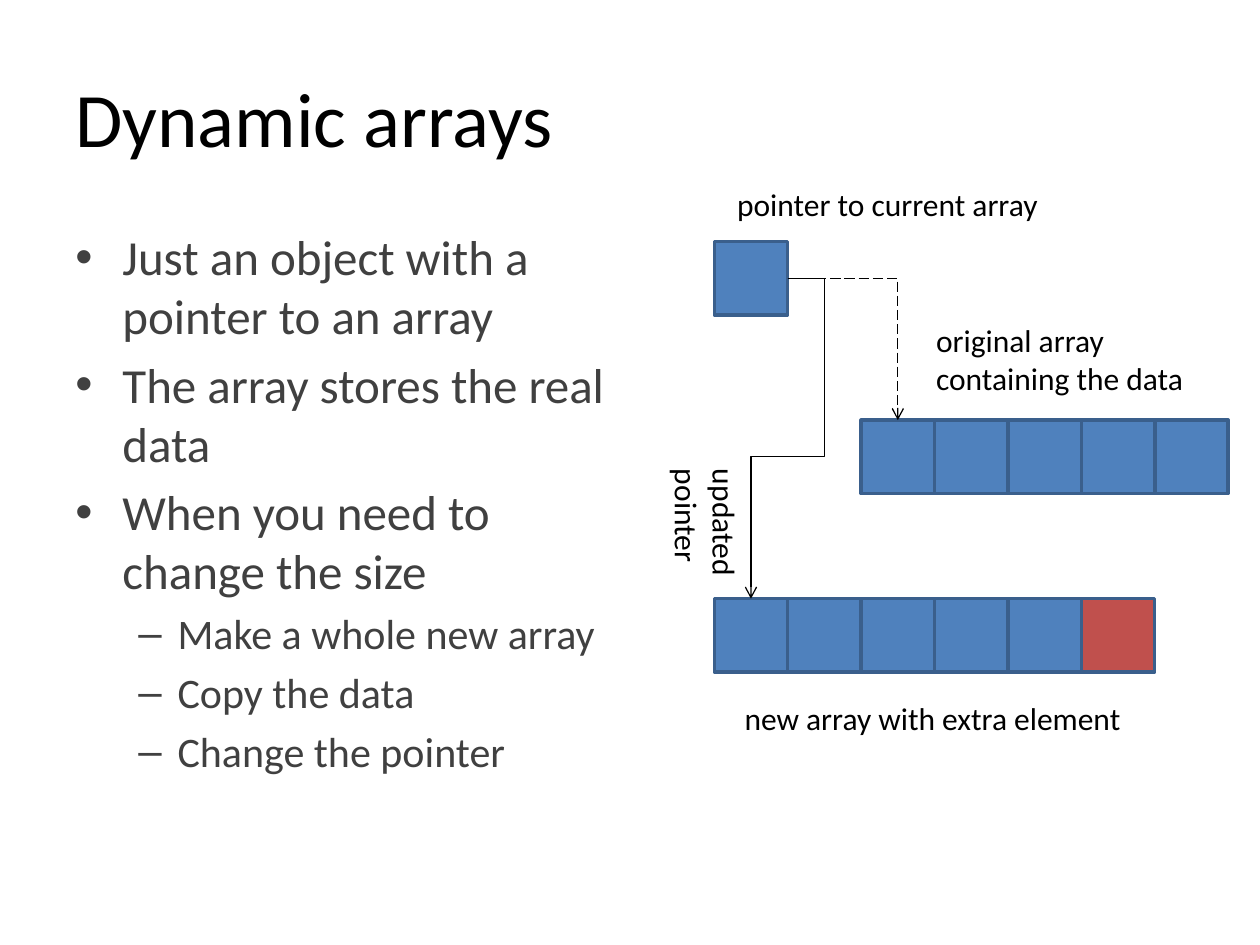
from dataclasses import dataclass

from lxml.etree import SubElement as Sub
from pptx import Presentation
from pptx.dml.color import RGBColor as Rgb
from pptx.enum.dml import MSO_LINE as Dash
from pptx.enum.shapes import MSO_CONNECTOR as Link, MSO_SHAPE as Kind
from pptx.enum.text import MSO_ANCHOR as Anchor, MSO_AUTO_SIZE as Fit
from pptx.oxml.ns import qn
from pptx.util import Cm, Pt


@dataclass(frozen=True)
class Theme:
    """Hold the colours, font, type sizes and line widths."""
    font: str = "Calibri"
    ink: Rgb = Rgb(0, 0, 0)
    grey: Rgb = Rgb(0x40, 0x40, 0x40)
    blue: Rgb = Rgb(0x4F, 0x81, 0xBD)
    edge: Rgb = Rgb(0x3A, 0x5F, 0x8C)
    red: Rgb = Rgb(0xC0, 0x50, 0x4D)
    title: int = 44
    body: tuple = (28, 24)
    label: int = 18
    border: float = 2
    wire: float = 0.75


THEME = Theme()
CELL = 1.48
LEFT = 14.4
LEVELS = (("•", 0.95, 0.95), ("–", 2.06, 0.79))
POINTS = (
    (0, "Just an object with a pointer to an array"),
    (0, "The array stores the real data"),
    (0, "When you need to change the size"),
    (1, "Make a whole new array"),
    (1, "Copy the data"),
    (1, "Change the pointer"),
)
LABELS = (
    (("original array", "containing the data"), (18.62, 6.35, 5.56, 1.8), 0),
    (("pointer to current array",), (14.61, 3.6, 6.65, 1.02), 0),
    (("new array with extra element",), (14.76, 13.97, 8.18, 1.02), 0),
    (("updated", "pointer"), (12.88, 9.65, 2.69, 1.8), 90),
)


def add_run(para, text, size, color):
    """Add one styled run to a paragraph."""
    run = para.add_run()
    run.text = text
    font = run.font
    font.name, font.size = THEME.font, Pt(size)
    font.color.rgb = color


def add_box(slide, area, wrap=True):
    """Add an empty text box."""
    box = slide.shapes.add_textbox(*map(Cm, area))
    box.text_frame.word_wrap = wrap
    return box


def add_para(frame, index):
    """Return the first paragraph or a new one."""
    return frame.add_paragraph() if index else frame.paragraphs[0]


def add_title(slide, text):
    """Add the slide heading."""
    frame = add_box(slide, (1.27, 0.76, 22.86, 3.18)).text_frame
    frame.vertical_anchor = Anchor.MIDDLE
    add_run(frame.paragraphs[0], text, THEME.title, THEME.ink)


def add_list(slide, points):
    """Add the bulleted list on two levels."""
    frame = add_box(slide, (1.27, 4.45, 11.23, 12.57)).text_frame
    for index, (level, text) in enumerate(points):
        para = add_para(frame, index)
        size = THEME.body[level]
        mark, margin, hang = LEVELS[level]
        para.level = level
        para.space_before = Pt(size * 0.2)
        props = para._p.get_or_add_pPr()
        props.set("marL", str(Cm(margin)))
        props.set("indent", str(-Cm(hang)))
        Sub(props, qn("a:buFont"), typeface="Arial")
        Sub(props, qn("a:buChar"), char=mark)
        add_run(para, text, size, THEME.grey)


def add_label(slide, lines, area, turn):
    """Add a caption with one paragraph per line."""
    box = add_box(slide, area, wrap=False)
    box.rotation = turn
    box.text_frame.auto_size = Fit.SHAPE_TO_FIT_TEXT
    for index, text in enumerate(lines):
        para = add_para(box.text_frame, index)
        add_run(para, text, THEME.label, THEME.ink)


def add_cells(slide, left, top, fills):
    """Add a row of square cells and return the first."""
    row = []
    for index, fill in enumerate(fills):
        spot = map(Cm, (left + index * CELL, top, CELL, CELL))
        cell = slide.shapes.add_shape(Kind.RECTANGLE, *spot)
        cell.shadow.inherit = False
        cell.fill.solid()
        cell.fill.fore_color.rgb = fill
        cell.line.color.rgb = THEME.edge
        cell.line.width = Pt(THEME.border)
        row.append(cell)
    return row[0]


def add_arrow(slide, start, end, preset, bends=(), dash=None):
    """Join the right side of one cell to the top of another."""
    wire = slide.shapes.add_connector(Link.ELBOW, 0, 0, 0, 0)
    wire.begin_connect(start, 3)
    wire.end_connect(end, 0)
    wire.line.color.rgb = THEME.ink
    wire.line.width = Pt(THEME.wire)
    if dash:
        wire.line.dash_style = dash
    props = wire._element.spPr
    shape = props.find(qn("a:prstGeom"))
    shape.set("prst", preset)
    guides = shape.find(qn("a:avLst"))
    if guides is None:
        guides = Sub(shape, qn("a:avLst"))
    for index, bend in enumerate(bends, 1):
        Sub(guides, qn("a:gd"), name=f"adj{index}", fmla=f"val {bend}")
    Sub(props.find(qn("a:ln")), qn("a:tailEnd"), type="arrow")
    Sub(props, qn("a:effectLst"))


def main():
    """Build and save the slide."""
    deck = Presentation()
    deck.slide_width, deck.slide_height = Cm(25.4), Cm(19.05)
    slide = deck.slides.add_slide(deck.slide_layouts[6])
    add_title(slide, "Dynamic arrays")
    add_list(slide, POINTS)
    blue = [THEME.blue]
    start = add_cells(slide, LEFT, 4.87, blue)
    old = add_cells(slide, LEFT + 2 * CELL, 8.47, blue * 5)
    new = add_cells(slide, LEFT, 12.07, blue * 5 + [THEME.red])
    add_arrow(slide, start, old, "bentConnector2", dash=Dash.LONG_DASH)
    add_arrow(slide, start, new, "bentConnector4", (-100000, 55700))
    for label in LABELS:
        add_label(slide, *label)
    deck.save("out.pptx")


if __name__ == "__main__":
    main()
